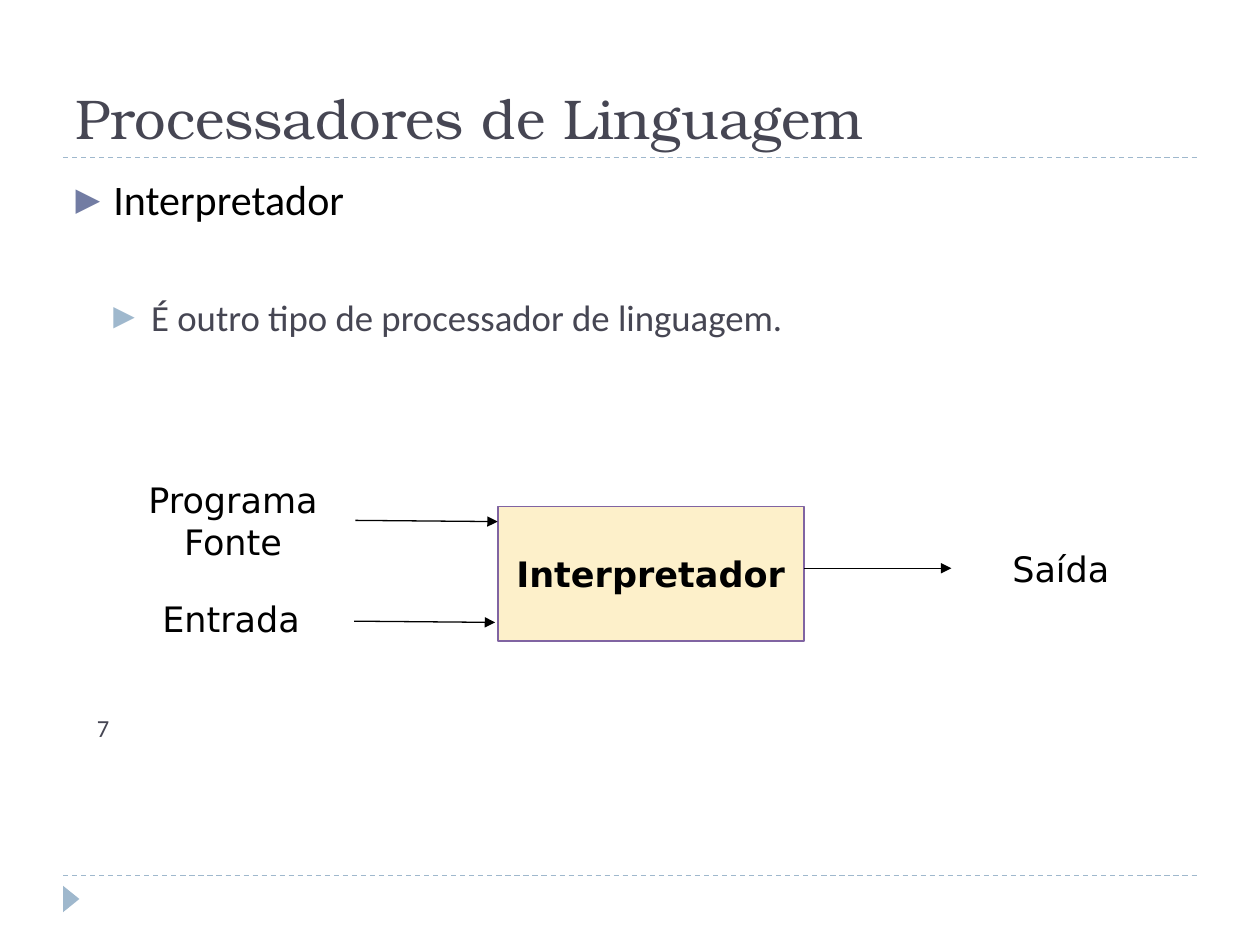
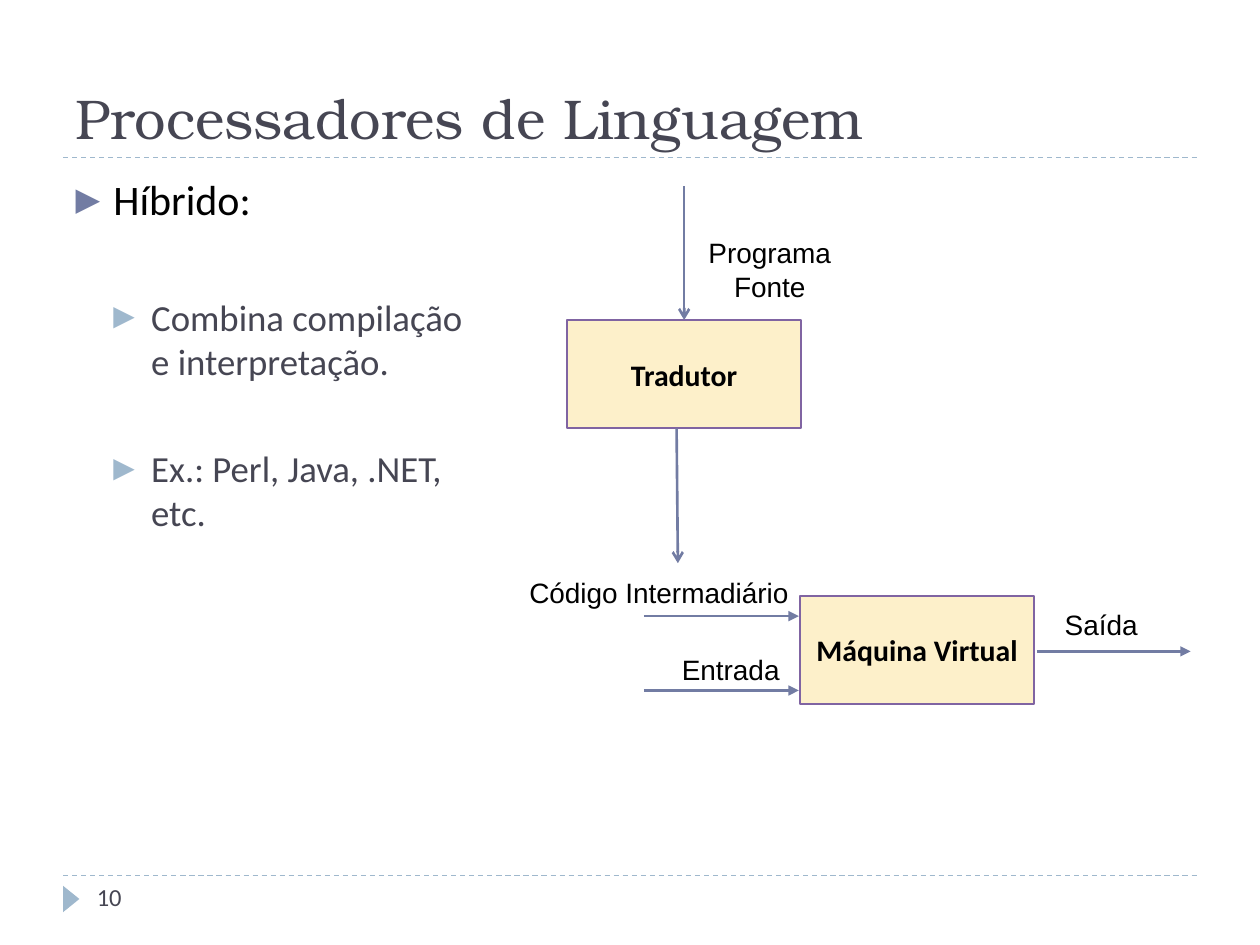
import pptx
import pptx.util
import pptx.dml.color
import pptx.enum.dml
import pptx.enum.shapes
import pptx.enum.text
import pptx.oxml
import pptx.oxml.ns
from lxml import etree

Inches = pptx.util.Inches
Pt = pptx.util.Pt
qn = pptx.oxml.ns.qn
SHAPE = pptx.enum.shapes.MSO_SHAPE
ALIGN = pptx.enum.text.PP_ALIGN
ANCHOR = pptx.enum.text.MSO_ANCHOR

INK, BLACK, WHITE = "464653", "000000", "FFFFFF"
BLUE, PALE, CREAM, PLUM = "727CA3", "9FB8CD", "FDF0CA", "8064A2"
SANS, LATIN, BODY, SERIF = "DejaVu Sans", "Arial", "Calibri", "TeX Gyre Bonum"


def hue(code):
    return pptx.dml.color.RGBColor.from_string(code)


def write(frame, text, size=20, font=BODY, color=BLACK, bold=False,
          align=ALIGN.LEFT, gap=0, level=0, mark=None):
    frame.word_wrap = True
    for line in text.split("\n"):
        par = frame.paragraphs[-1]
        if par.text:
            par = frame.add_paragraph()
        par.text = line
        par.level = level
        par.alignment = align
        par.space_before = Pt(gap)
        if mark:
            props = par._p.get_or_add_pPr()
            props.set("marL", str(Inches(0.3 * (level + 1))))
            props.set("indent", str(-Inches(0.3)))
            tint = etree.SubElement(props, qn("a:buClr"))
            etree.SubElement(tint, qn("a:srgbClr"), val=mark)
            etree.SubElement(props, qn("a:buSzPct"), val="76000")
            etree.SubElement(props, qn("a:buFont"), typeface=SANS)
            etree.SubElement(props, qn("a:buChar"), char="▶")
        par.font.size = Pt(size)
        par.font.name = font
        par.font.bold = bold
        par.font.color.rgb = hue(color)


pages = [
    {
        "width": 9,
        "list": [
            ("Interpretador", 0, 0),
            ("É outro tipo de processador de linguagem.", 1, 40),
        ],
        "boxes": [("Interpretador", 3.95, 4.02, 2.43, 1.07)],
        "bold": (20, SANS),
        "labels": [
            ("Programa Fonte", 0.71, 3.75, 2.28, 0.79),
            ("Saída", 7.28, 4.3, 2.28, 0.47),
            ("Entrada", 0.96, 4.69, 1.75, 0.79),
        ],
        "plain": (20, SANS),
        "pen": (BLACK, 0.75),
        "arrows": [
            (6.38, 4.51, 7.55, 4.51, "triangle"),
            (2.82, 4.13, 3.95, 4.14, "triangle"),
            (2.81, 4.93, 3.93, 4.94, "triangle"),
        ],
        "number": ("7", 5.61),
    },
    {
        "width": 3.31,
        "list": [
            ("Híbrido:", 0, 0),
            ("Combina compilação e interpretação.", 1, 40),
            ("Ex.: Perl, Java, .NET, etc.", 1, 36),
        ],
        "boxes": [
            ("Tradutor", 4.5, 2.54, 1.86, 0.86),
            ("Máquina Virtual", 6.35, 4.73, 1.86, 0.86),
        ],
        "bold": (17, BODY),
        "labels": [
            ("Programa\nFonte", 5.11, 1.82, 2, 0.64),
            ("Código Intermadiário", 3.9, 4.52, 2.66, 0.37),
            ("Entrada", 5.22, 5.13, 1.16, 0.37),
            ("Saída", 8.22, 4.77, 1.04, 0.37),
        ],
        "plain": (16, LATIN),
        "pen": (BLUE, 1.5),
        "arrows": [
            (5.43, 1.48, 5.43, 2.54, "arrow"),
            (5.37, 3.4, 5.38, 4.47, "arrow"),
            (8.23, 5.17, 9.45, 5.17, "triangle"),
            (5.11, 4.89, 6.34, 4.89, "triangle"),
            (5.11, 5.48, 6.34, 5.48, "triangle"),
        ],
        "number": ("10", 6.95),
    },
]

deck = pptx.Presentation()
deck.slide_width = Inches(10)
deck.slide_height = Inches(7.5)

for page in pages:
    slide = deck.slides.add_slide(deck.slide_layouts[1])
    shapes = slide.shapes
    slide.background.fill.solid()
    slide.background.fill.fore_color.rgb = hue(WHITE)

    title, body = shapes.title, slide.placeholders[1]
    for holder, top, width, height in (
        (title, 0.17, 9, 1.08),
        (body, 1.33, page["width"], 5.4),
    ):
        holder.left, holder.top = Inches(0.5), Inches(top)
        holder.width, holder.height = Inches(width), Inches(height)
        holder.text_frame.auto_size = pptx.enum.text.MSO_AUTO_SIZE.NONE
    title.text_frame.vertical_anchor = ANCHOR.BOTTOM
    write(title.text_frame, "Processadores de Linguagem",
          size=32, font=SERIF, color=INK)
    for text, level, gap in page["list"]:
        write(body.text_frame, text, level=level, gap=gap,
              size=(24, 21)[level], color=(BLACK, INK)[level],
              mark=(BLUE, PALE)[level])

    wedge = shapes.add_shape(SHAPE.ISOSCELES_TRIANGLE, Inches(0.46),
                             Inches(7.07), Inches(0.21), Inches(0.13))
    wedge.rotation = 90
    wedge.shadow.inherit = False
    wedge.fill.solid()
    wedge.fill.fore_color.rgb = hue(PALE)
    wedge.line.fill.background()

    for text, *area in page["boxes"]:
        box = shapes.add_shape(SHAPE.RECTANGLE, *map(Inches, area))
        box.shadow.inherit = False
        box.fill.solid()
        box.fill.fore_color.rgb = hue(CREAM)
        box.line.color.rgb = hue(PLUM)
        box.line.width = Pt(1)
        box.text_frame.vertical_anchor = ANCHOR.MIDDLE
        size, font = page["bold"]
        write(box.text_frame, text, size=size, font=font,
              bold=True, align=ALIGN.CENTER)

    for text, *area in page["labels"]:
        label = shapes.add_textbox(*map(Inches, area))
        size, font = page["plain"]
        write(label.text_frame, text, size=size, font=font,
              align=ALIGN.CENTER)

    rules = [(0.5, y, 9.5, y, None) for y in (1.25, 6.95)]
    for *ends, tip in rules + page["arrows"]:
        line = shapes.add_connector(
            pptx.enum.shapes.MSO_CONNECTOR.STRAIGHT, *map(Inches, ends))
        color, weight = page["pen"] if tip else (PALE, 0.75)
        line.line.color.rgb = hue(color)
        line.line.width = Pt(weight)
        if tip:
            stroke = line.line._get_or_add_ln()
            etree.SubElement(stroke, qn("a:tailEnd"), type=tip)
        else:
            line.line.dash_style = pptx.enum.dml.MSO_LINE.DASH
        etree.SubElement(line._element.spPr, qn("a:effectLst"))

    text, top = page["number"]
    number = shapes.add_textbox(Inches(0.67), Inches(top),
                                Inches(2.17), Inches(0.4))
    write(number.text_frame, text, size=14, color=INK)

deck.save("out.pptx")
